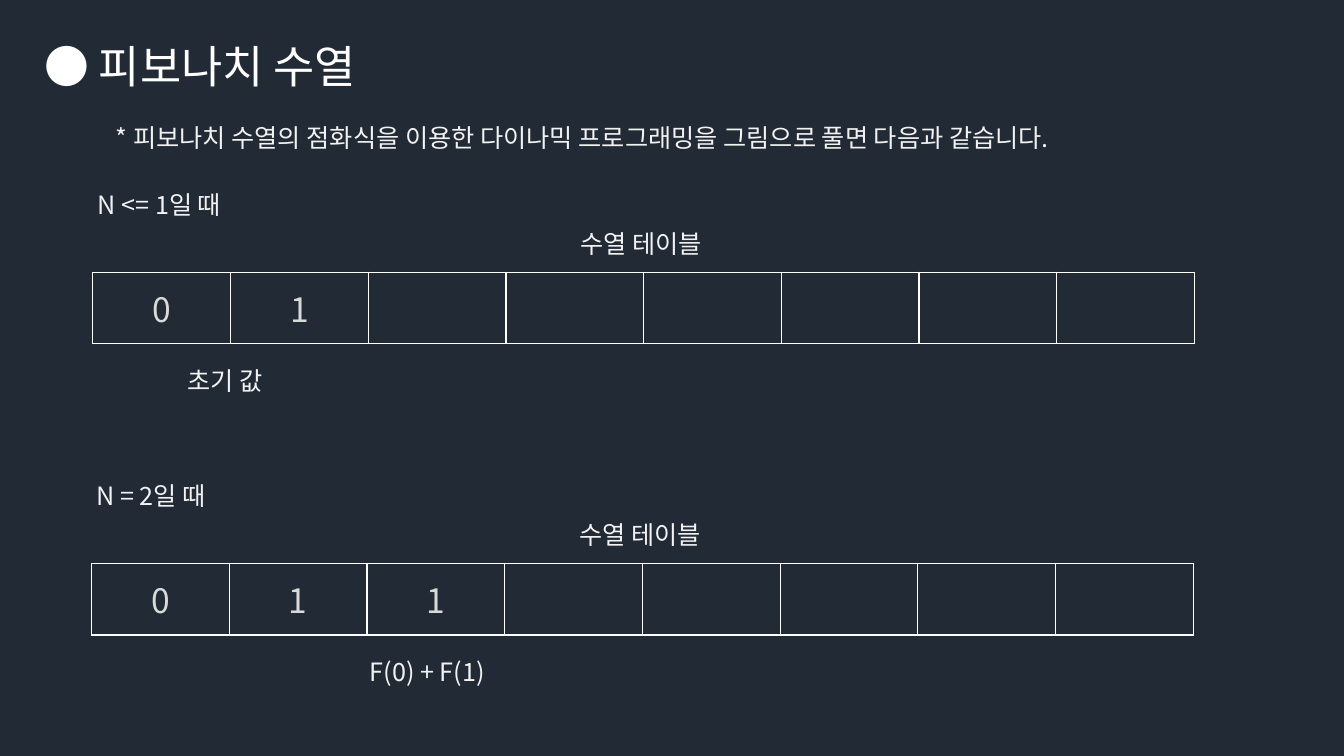
from lxml import etree
from pptx import Presentation
from pptx.dml.color import RGBColor
from pptx.enum.text import MSO_ANCHOR, MSO_AUTO_SIZE, PP_ALIGN
from pptx.oxml.ns import qn
from pptx.util import Cm, Pt

FONT = "Noto Sans CJK KR"
BACKGROUND = "222A35"
WHITE = "FFFFFF"
LABEL = "F2F2F2"
NUMBER = "D9D9D9"
CENTER = PP_ALIGN.CENTER
MIDDLE = MSO_ANCHOR.MIDDLE
GROW = MSO_AUTO_SIZE.SHAPE_TO_FIT_TEXT
TERM_COUNT = 8
CELL_WIDTH = 3.47
CELL_HEIGHT = 1.8
LABEL_HEIGHT = 1.02


def rgb(value):
    return RGBColor.from_string(value)


def write(frame, text, size=18, color=LABEL, align=None):
    paragraph = frame.paragraphs[0]
    paragraph.alignment = align
    run = paragraph.add_run()
    run.text = text
    run.font.size = Pt(size)
    run.font.name = FONT
    run.font.color.rgb = rgb(color)
    etree.SubElement(run.font._element, qn("a:ea"), typeface=FONT)


def add_label(slide, text, left, top, width, height=LABEL_HEIGHT, **style):
    label = slide.shapes.add_textbox(Cm(left), Cm(top), Cm(width), Cm(height))
    frame = label.text_frame
    frame.word_wrap = True
    frame.auto_size = GROW
    write(frame, text, **style)


def outline(cell):
    properties = cell._tc.get_or_add_tcPr()
    for position, side in enumerate(("lnL", "lnR", "lnT", "lnB")):
        border = etree.Element(qn(f"a:{side}"), w=str(Pt(1)))
        fill = etree.SubElement(border, qn("a:solidFill"))
        etree.SubElement(fill, qn("a:srgbClr"), val=WHITE)
        properties.insert(position, border)


def add_sequence(slide, left, top, terms):
    frame = slide.shapes.add_table(
        1, TERM_COUNT, Cm(left), Cm(top),
        Cm(CELL_WIDTH * TERM_COUNT), Cm(CELL_HEIGHT))
    sequence = frame.table
    sequence.first_row = False
    sequence.horz_banding = False
    for column in sequence.columns:
        column.width = Cm(CELL_WIDTH)
    for cell in sequence.iter_cells():
        cell.fill.background()
        cell.vertical_anchor = MIDDLE
        outline(cell)
    for index, term in enumerate(terms):
        write(sequence.cell(0, index).text_frame, term,
              size=24, color=NUMBER, align=CENTER)


def add_step(slide, left, top, condition, terms, note, note_offset, note_width):
    add_sequence(slide, left, top, terms)
    add_label(slide, "수열 테이블", left + 12.04, top - 1.24, 4.06)
    add_label(slide, note, left + note_offset, top + 2.21, note_width)
    add_label(slide, condition, left - 0.13, top - 2.21, 4.42)


def main():
    presentation = Presentation()
    presentation.slide_width = Cm(33.87)
    presentation.slide_height = Cm(19.05)
    slide = presentation.slides.add_slide(presentation.slide_layouts[6])
    slide.background.fill.solid()
    slide.background.fill.fore_color.rgb = rgb(BACKGROUND)

    add_label(slide, "● 피보나치 수열", 0.86, 0.86, 13.18, 1.62,
              size=32, color=WHITE)
    add_label(slide, "* 피보나치 수열의 점화식을 이용한 다이나믹 프로그래밍을 "
              "그림으로 풀면 다음과 같습니다.", 2.67, 2.95, 29.59)
    add_step(slide, 2.34, 6.86, "N <= 1일 때", ["0", "1"],
             "초기 값", 2.13, 2.84)
    add_step(slide, 2.31, 14.2, "N = 2일 때", ["0", "1", "1"],
             "F(0) + F(1)", 6.76, 3.68)
    presentation.save("out.pptx")


if __name__ == "__main__":
    main()
